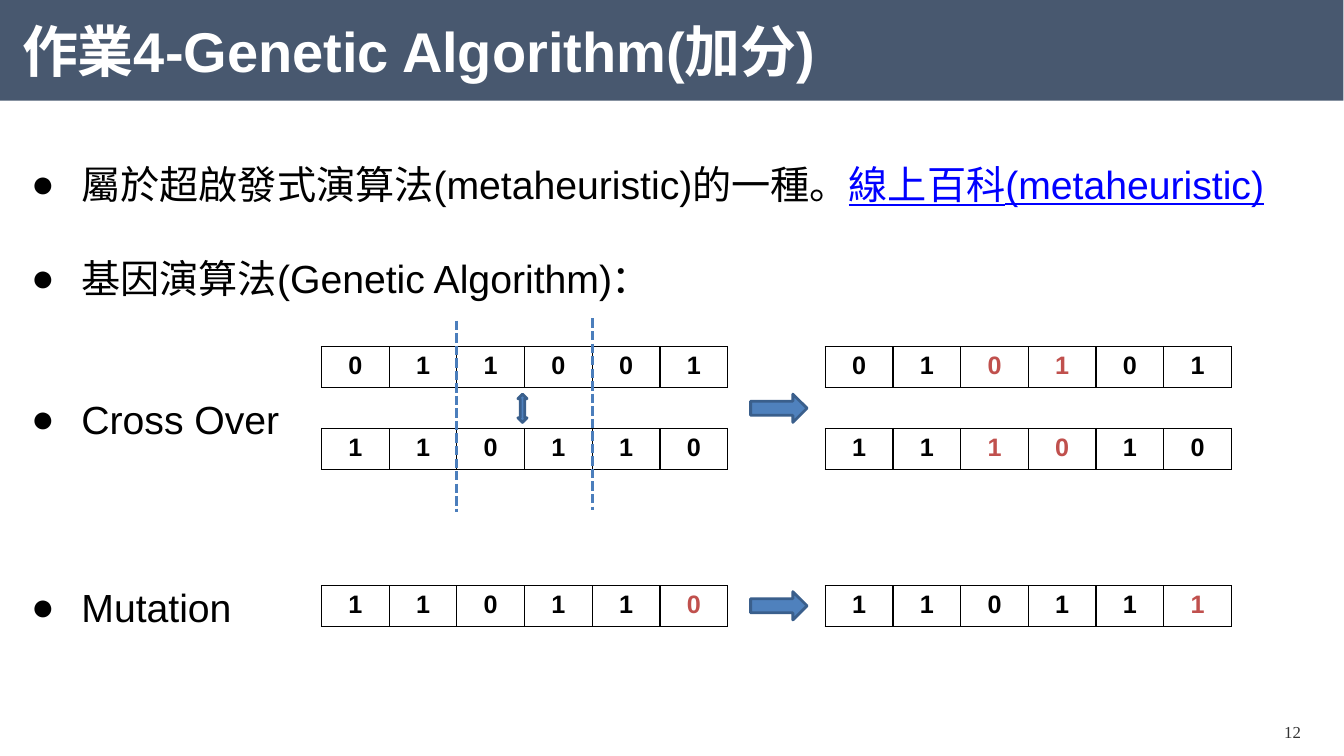
from lxml import etree
from pptx import Presentation
from pptx.dml.color import RGBColor
from pptx.enum.dml import MSO_LINE
from pptx.enum.shapes import MSO_CONNECTOR, MSO_SHAPE as SHAPE
from pptx.enum.text import MSO_ANCHOR as ANCHOR, PP_ALIGN as ALIGN
from pptx.oxml.ns import qn
from pptx.util import Pt

COLORS = {"band": "48586F", "white": "FFFFFF", "black": "000000", "link": "0000FF",
          "changed": "C0504D", "arrow": "4F81BD", "arrow_edge": "3A5F8C",
          "cut": "4B7EBC", "number": "333333"}

TITLE = "作業4-Genetic Algorithm(加分)"
PAGE = "12"
# Empty lines before the bullet, then its (text, is_link) runs
BULLETS = [
    (0, [("屬於超啟發式演算法(metaheuristic)的一種。", False),
         ("線上百科(metaheuristic)", True)]),
    (1, [("基因演算法(Genetic Algorithm)：", False)]),
    (2, [("Cross Over", False)]),
    (3, [("Mutation", False)]),
]
# Column, top, genes, positions of changed genes
CHROMOSOMES = [
    ("before", 247.7, "011001", ()),
    ("after", 247.7, "010101", (2, 3)),
    ("before", 306, "110110", ()),
    ("after", 306, "111010", (2, 3)),
    ("before", 418.3, "110110", (5,)),
    ("after", 418.3, "110111", (5,)),
]
COLUMN_X = {"before": 229.7, "after": 589.7}
GENE_W, GENE_H = 48.4, 29.2
LINE_PITCH = 33.6
CUTS = [(2, 229), (4, 227.5)]  # genes to the left of the cut, top
CUT_H = 136.8
ARROWS = [
    (SHAPE.UP_DOWN_ARROW, 370.1, 281.5, 6.5, 20.2),
    (SHAPE.RIGHT_ARROW, 536.4, 281.5, 40.3, 20.2),
    (SHAPE.RIGHT_ARROW, 536.4, 422.6, 40.3, 20.2),
]


def rgb(name):
    return RGBColor.from_string(COLORS[name])


def box(x, y, w, h):
    return [Pt(v) for v in (x, y, w, h)]


def style(r, size, color, bold=False, font="Arial"):
    r.font.size, r.font.name, r.font.bold = Pt(size), font, bold
    r.font.color.rgb = rgb(color)


def add_preset(kind, bounds, fill, edge=None):
    s = slide.shapes.add_shape(kind, *box(*bounds))
    s.shadow.inherit = False
    s.fill.solid()
    s.fill.fore_color.rgb = rgb(fill)
    if edge:
        s.line.color.rgb, s.line.width = rgb(edge), Pt(2)
    else:
        s.line.fill.background()


def add_text(bounds, text=""):
    tf = slide.shapes.add_textbox(*box(*bounds)).text_frame
    tf.word_wrap = True
    tf.text = text
    return tf


def add_bullets():
    tf = add_text((15.1, 111, 935, 380))
    for i, (gap, runs) in enumerate(BULLETS):
        p = tf.add_paragraph() if i else tf.paragraphs[0]
        p.line_spacing = Pt(LINE_PITCH)
        p.space_before = Pt(gap * LINE_PITCH)
        for text, is_link in runs:
            r = p.add_run()
            r.text = text
            style(r, 28, "link" if is_link else "black")
            r.font.underline = is_link
        pPr = p._p.get_or_add_pPr()
        pPr.set("marL", str(Pt(36)))
        pPr.set("indent", str(-Pt(36)))
        etree.SubElement(pPr, qn("a:buFont"), typeface="Arial")
        etree.SubElement(pPr, qn("a:buChar"), char="●")


def add_borders(cell):
    """Draw a thin line on every side; borders must precede the cell fill."""
    tcPr = cell._tc.get_or_add_tcPr()
    for i, side in enumerate(("a:lnL", "a:lnR", "a:lnT", "a:lnB")):
        ln = etree.Element(qn(side), w=str(Pt(1)))
        fill = etree.SubElement(ln, qn("a:solidFill"))
        etree.SubElement(fill, qn("a:srgbClr"), val=COLORS["black"])
        tcPr.insert(i, ln)


def add_chromosome(column, top, genes, changed):
    bounds = box(COLUMN_X[column], top, GENE_W * len(genes), GENE_H)
    table = slide.shapes.add_table(1, len(genes), *bounds).table
    table.first_row = table.horz_banding = False
    for i, gene in enumerate(genes):
        table.columns[i].width = Pt(GENE_W)
        cell = table.cell(0, i)
        cell.text = gene
        cell.fill.solid()
        cell.fill.fore_color.rgb = rgb("white")
        add_borders(cell)
        p = cell.text_frame.paragraphs[0]
        p.alignment = ALIGN.CENTER
        style(p.runs[0], 18, "changed" if i in changed else "black", bold=True)


def add_cut(genes_left, top):
    x = Pt(COLUMN_X["before"] + genes_left * GENE_W)
    s = slide.shapes.add_connector(MSO_CONNECTOR.STRAIGHT, x, Pt(top), x, Pt(top + CUT_H))
    s.line.color.rgb, s.line.width = rgb("cut"), Pt(2.25)
    s.line.dash_style = MSO_LINE.SQUARE_DOT
    etree.SubElement(s._element.spPr, qn("a:effectLst"))


prs = Presentation()
prs.slide_width, prs.slide_height = Pt(960.4), Pt(540)
slide = prs.slides.add_slide(prs.slide_layouts[6])

add_preset(SHAPE.RECTANGLE, (0, 0, 960, 72), "band")

tf = add_text((15.8, 12.2, 809.3, 53.3), TITLE)
tf.margin_left = tf.margin_right = tf.margin_top = tf.margin_bottom = 0
tf.vertical_anchor = ANCHOR.MIDDLE
tf.paragraphs[0].line_spacing = 0.9
style(tf.paragraphs[0].runs[0], 40, "white", bold=True)

add_bullets()

p = add_text((879.8, 511.9, 87.8, 20.2), PAGE).paragraphs[0]
p.alignment = ALIGN.CENTER
style(p.runs[0], 12, "number", font="Times New Roman")

for chromosome in CHROMOSOMES:
    add_chromosome(*chromosome)
for cut in CUTS:
    add_cut(*cut)
for kind, *bounds in ARROWS:
    add_preset(kind, bounds, "arrow", "arrow_edge")

prs.save("out.pptx")
